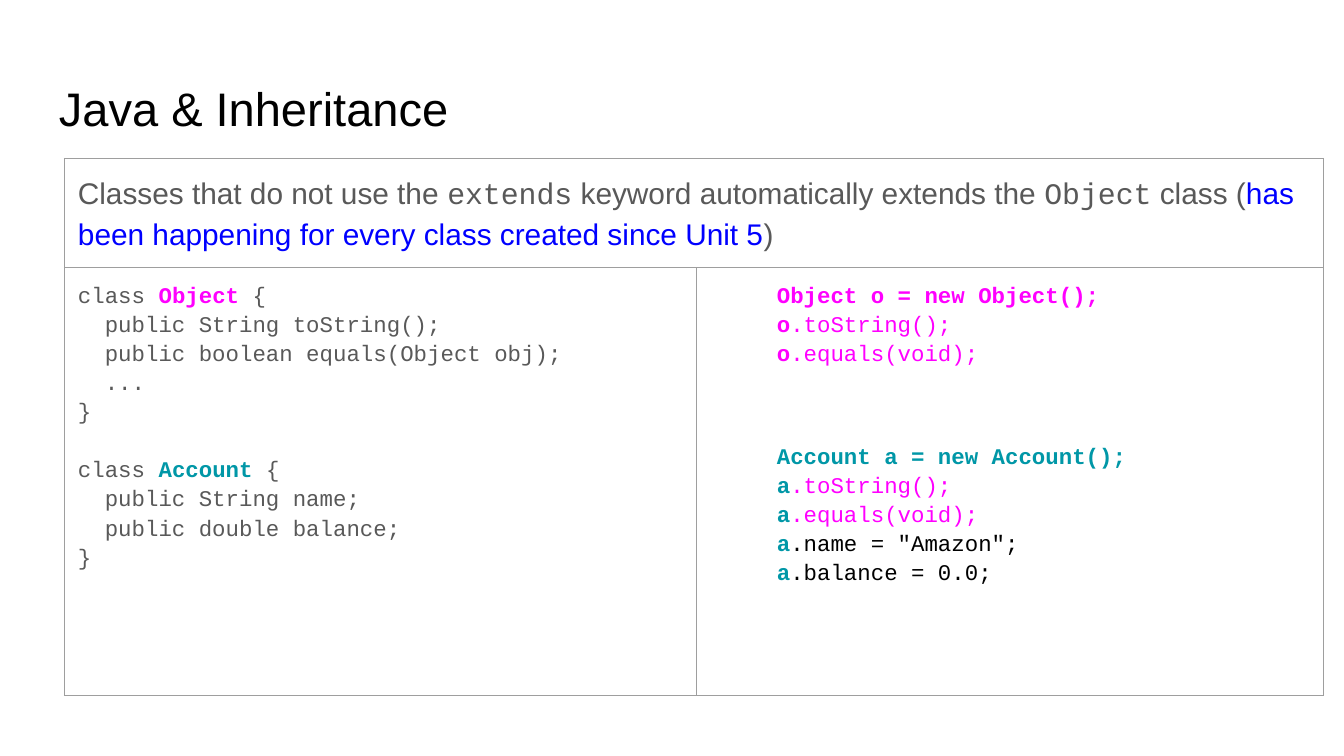
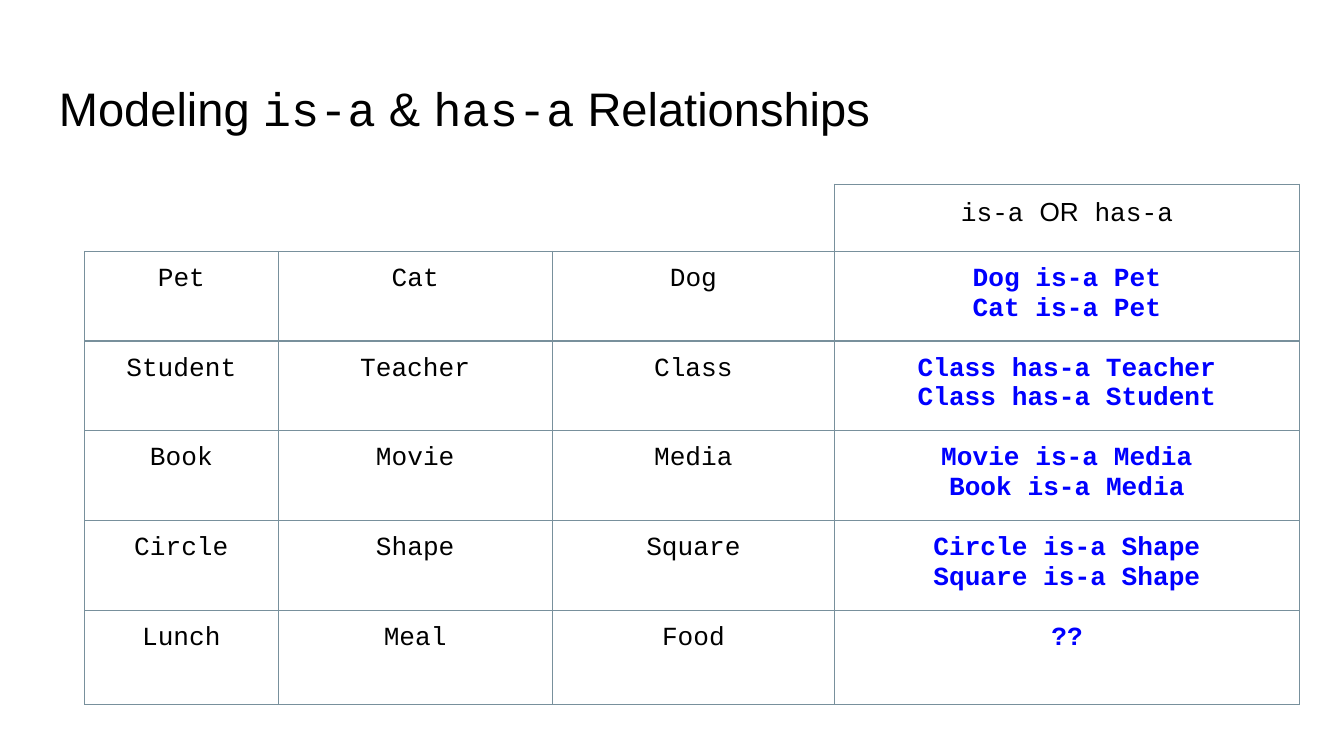
import pptx
import pptx.dml.color
import pptx.enum.text
import pptx.oxml.ns
import pptx.util
from lxml import etree
from pptx.util import Inches

COLOURS = {
    "black": "000000", "white": "FFFFFF", "grey": "595959", "blue": "0000FF",
    "magenta": "FF00FF", "teal": "0097A7", "rule": "9E9E9E", "slate": "78909C",
}
PROSE = "Arial"
CODE = "Courier New"
MARGINS = ("margin_left", "margin_right", "margin_top", "margin_bottom")
CENTRE = pptx.enum.text.PP_ALIGN.CENTER


def add_child(parent, tag, **attributes):
    return etree.SubElement(parent, pptx.oxml.ns.qn(tag), **attributes)


def add_mark_format(parent, tag, size, font):
    """Size a line break or paragraph end like the text beside it."""
    properties = add_child(parent, tag, sz=str(round(size * 100)))
    add_child(properties, "a:latin", typeface=font)


# Text: a run is (text, colour) plus optional bold and font
def add_run(paragraph, size, text, colour, bold=False, font=CODE):
    for index, line in enumerate(text.split("\n")):
        if index:
            paragraph.add_line_break()
            add_mark_format(paragraph._p[-1], "a:rPr", size, font)
        if line:
            run = paragraph.add_run()
            run.text = line
            run.font.name = font
            run.font.size = pptx.util.Pt(size)
            run.font.bold = bold
            run.font.color.rgb = pptx.dml.color.RGBColor.from_string(COLOURS[colour])


def fill_text(frame, paragraphs, size, align=None, spacing=None, indent=0, gap=0):
    for index, runs in enumerate(paragraphs):
        paragraph = frame.add_paragraph() if index else frame.paragraphs[0]
        paragraph.alignment = align
        paragraph.line_spacing = spacing
        if index:
            paragraph.space_before = pptx.util.Pt(gap)
        if indent:
            paragraph._p.get_or_add_pPr().set("marL", str(Inches(indent)))
        for run in runs:
            add_run(paragraph, size, *run)
        end_font = paragraph.runs[-1].font.name if runs else PROSE
        add_mark_format(paragraph._p, "a:endParaRPr", size, end_font)


def set_margins(target):
    for margin in MARGINS:
        setattr(target, margin, Inches(0.1))


def add_title_slide(presentation, runs):
    slide = presentation.slides.add_slide(presentation.slide_layouts[6])
    box = slide.shapes.add_textbox(Inches(0.34), Inches(0.49), Inches(9.32), Inches(0.63))
    frame = box.text_frame
    frame.word_wrap = True
    frame.vertical_anchor = pptx.enum.text.MSO_ANCHOR.MIDDLE
    set_margins(frame)
    fill_text(frame, [[(text, "black", False, font) for text, font in runs]], 25.2)
    return slide


# Tables
def set_borders(cell, left, right, top, bottom):
    properties = cell._tc.get_or_add_tcPr()
    for side, colour in zip("LRTB", (left, right, top, bottom)):
        line = add_child(properties, f"a:ln{side}", w=str(pptx.util.Pt(0.75)))
        add_child(add_child(line, "a:solidFill"), "a:srgbClr", val=COLOURS[colour])
    cell.fill.background()


def add_grid(slide, left, top, widths, heights):
    table = slide.shapes.add_table(
        len(heights), len(widths), Inches(left), Inches(top),
        Inches(sum(widths)), Inches(sum(heights))).table
    table.first_row = False
    table.horz_banding = False
    for column, width in zip(table.columns, widths):
        column.width = Inches(width)
    for row, height in zip(table.rows, heights):
        row.height = Inches(height)
    return table


def write_cell(cell, paragraphs, size, **layout):
    set_margins(cell)
    fill_text(cell.text_frame, paragraphs, size, **layout)


def build_inheritance(presentation):
    slide = add_title_slide(presentation, [("Java & Inheritance", PROSE)])
    table = add_grid(slide, 0.48, 1.18, [4.7, 4.67], [0.29, 3.18])
    for cell in table.iter_cells():
        set_borders(cell, *["rule"] * 4)
    table.cell(0, 0).merge(table.cell(0, 1))

    write_cell(table.cell(0, 0), [[
        ("Classes that do not use the ", "grey", False, PROSE),
        ("extends", "grey"),
        (" keyword automatically extends the ", "grey", False, PROSE),
        ("Object", "grey"),
        (" class (", "grey", False, PROSE),
        ("has been happening for every class created since Unit 5", "blue", False, PROSE),
        (")", "grey", False, PROSE),
    ]], 16, spacing=1.15)

    # Class definitions
    write_cell(table.cell(1, 0), [
        [("class ", "grey"), ("Object", "magenta", True),
         (" {\n  public String toString();\n  public boolean equals(Object obj);\n  ...\n}", "grey")],
        [("class ", "grey"), ("Account", "teal", True),
         (" {\n  public String name;\n  public double balance;\n}", "grey")],
    ], 12, spacing=1.15, gap=15.6)

    # Calls on each object
    write_cell(table.cell(1, 1), [
        [("Object o = new Object();\no", "magenta", True), (".toString();\n", "magenta"),
         ("o", "magenta", True), (".equals(void);", "magenta")],
        [("Account a = new Account();\na", "teal", True), (".toString();\n", "magenta"),
         ("a", "teal", True), (".equals(void);\n", "magenta"),
         ("a", "teal", True), (".name = \"Amazon\";\n", "black"),
         ("a", "teal", True), (".balance = 0.0;", "black")],
    ], 12, spacing=1.15, indent=0.5, gap=39.6)


def build_relationships(presentation):
    slide = add_title_slide(presentation, [
        ("Modeling ", PROSE), ("is-a", CODE), (" & ", PROSE),
        ("has-a", CODE), (" Relationships", PROSE)])
    examples = [
        ("Pet", "Cat", "Dog", "Dog is-a Pet\nCat is-a Pet"),
        ("Student", "Teacher", "Class", "Class has-a Teacher\nClass has-a Student"),
        ("Book", "Movie", "Media", "Movie is-a Media\nBook is-a Media"),
        ("Circle", "Shape", "Square", "Circle is-a Shape\nSquare is-a Shape"),
        ("Lunch", "Meal", "Food", "??"),
    ]
    table = add_grid(slide, 0.63, 1.37, [1.44, 2.04, 2.1, 3.46], [0.45] + [0.56] * 4 + [0.7])

    # Header row: only the answer column is framed
    for column in range(3):
        blank = table.cell(0, column)
        right = "slate" if column == 2 else "white"
        set_borders(blank, "white", right, "white", "slate")
        write_cell(blank, [[]], 18)
    header = table.cell(0, 3)
    set_borders(header, *["slate"] * 4)
    write_cell(header, [[("is-a ", "black"), ("OR", "black", False, PROSE), (" has-a", "black")]],
               14, align=CENTRE)

    # Examples with their answers
    for row, example in enumerate(examples, start=1):
        for column, text in enumerate(example):
            cell = table.cell(row, column)
            set_borders(cell, *["slate"] * 4)
            is_answer = column == 3
            run = (text, "blue" if is_answer else "black", is_answer)
            write_cell(cell, [[run]], 14, align=CENTRE)


def main():
    presentation = pptx.Presentation()
    presentation.slide_width = Inches(10)
    presentation.slide_height = Inches(10) * 9 // 16
    build_inheritance(presentation)
    build_relationships(presentation)
    presentation.save("out.pptx")


if __name__ == "__main__":
    main()
